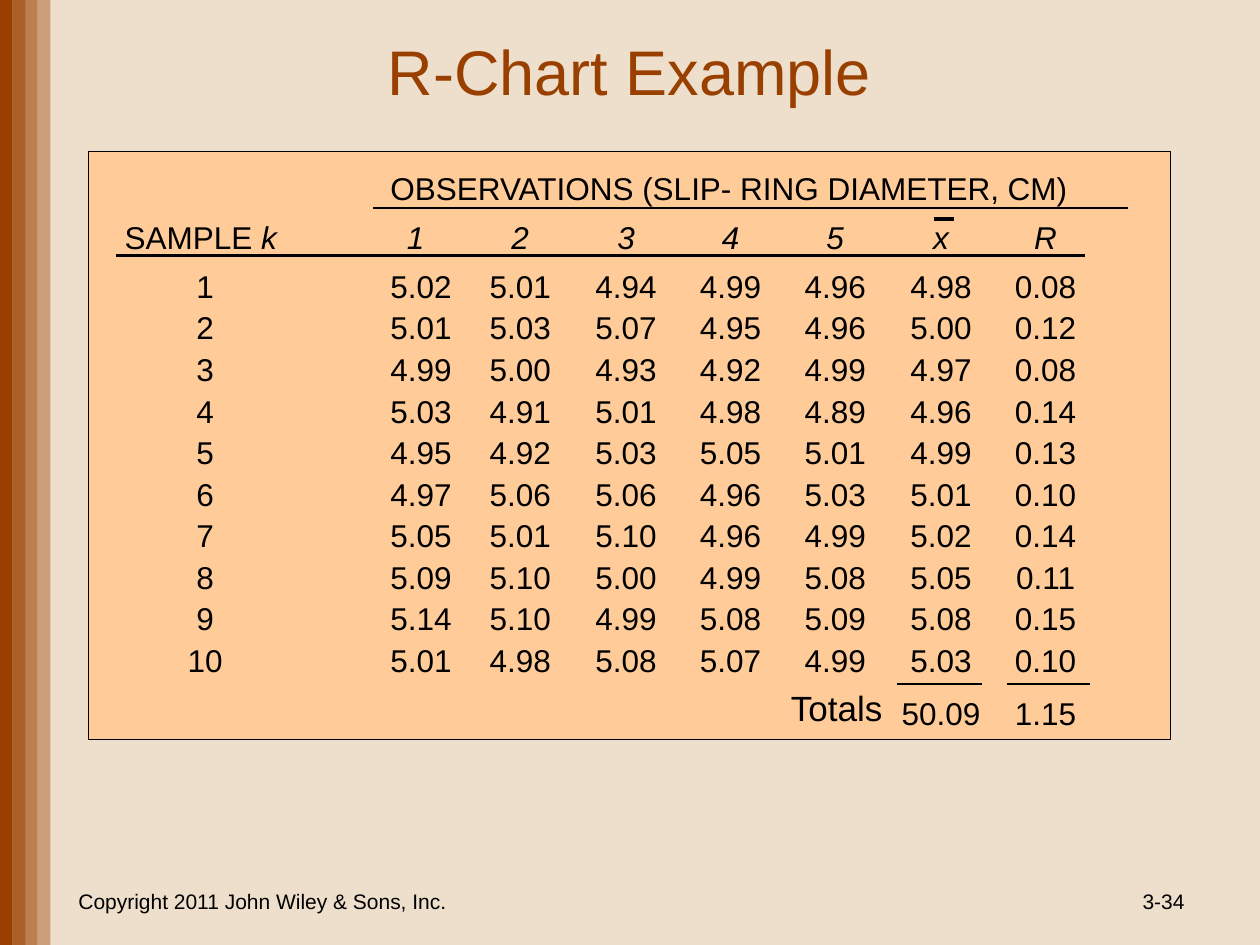
from lxml.etree import SubElement
from pptx import Presentation
from pptx.dml.color import RGBColor
from pptx.enum.shapes import MSO_CONNECTOR as Connector, MSO_SHAPE as Shape
from pptx.enum.text import MSO_ANCHOR as Anchor, MSO_AUTO_SIZE as AutoSize, PP_ALIGN as Align
from pptx.oxml.ns import qn
from pptx.util import Inches, Pt

COLORS = {"background": "EEDFCC", "accent": "994000", "panel": "FFCC99", "ink": "000000"}
FONT = "Arial"

# Tab stops of the observation sheet: sample, first value, then even columns
TABS = [(0.83, "ctr"), (2.3, "l")] + [(round(2.5 + i * 5 / 6, 2), "ctr") for i in range(7)]

SAMPLES = [
    "5.02 5.01 4.94 4.99 4.96 4.98 0.08",
    "5.01 5.03 5.07 4.95 4.96 5.00 0.12",
    "4.99 5.00 4.93 4.92 4.99 4.97 0.08",
    "5.03 4.91 5.01 4.98 4.89 4.96 0.14",
    "4.95 4.92 5.03 5.05 5.01 4.99 0.13",
    "4.97 5.06 5.06 4.96 5.03 5.01 0.10",
    "5.05 5.01 5.10 4.96 4.99 5.02 0.14",
    "5.09 5.10 5.00 4.99 5.08 5.05 0.11",
    "5.14 5.10 4.99 5.08 5.09 5.08 0.15",
    "5.01 4.98 5.08 5.07 4.99 5.03 0.10",
]


def color(name):
    return RGBColor.from_string(COLORS[name])


class SlideBuilder:
    def __init__(self, slide):
        self.slide = slide
        fill = slide.background.fill
        fill.solid()
        fill.fore_color.rgb = color("background")

    def box(self, at, fill, line=None, opacity=100):
        shape = self.slide.shapes.add_shape(Shape.RECTANGLE, *map(Inches, at))
        shape.shadow.inherit = False
        shape.fill.solid()
        shape.fill.fore_color.rgb = color(fill)
        if opacity < 100:
            tint = shape._element.spPr.find(qn("a:solidFill"))[0]
            SubElement(tint, qn("a:alpha"), val=str(opacity * 1000))
        if line:
            shape.line.color.rgb = color("ink")
            shape.line.width = Pt(line)
        else:
            shape.line.fill.background()
        return shape

    def add_words(self, paragraph, text, size, ink="ink", italic=False):
        run = paragraph.add_run()
        run.text = text
        style = {"name": FONT, "size": Pt(size), "italic": italic}
        for key, value in style.items():
            setattr(run.font, key, value)
        run.font.color.rgb = color(ink)

    def label(self, at, text, size, align, ink="ink", **frame_format):
        frame = self.slide.shapes.add_textbox(*map(Inches, at)).text_frame
        for key, value in {"word_wrap": True, **frame_format}.items():
            setattr(frame, key, value)
        paragraph = frame.paragraphs[0]
        paragraph.alignment = align
        self.add_words(paragraph, text, size, ink)

    def sheet(self, at, rows, size):
        """Fill a panel with tabbed rows of (line spacing, [(text, italic), ...])."""
        frame = self.box(at, "panel", line=0.75).text_frame
        frame.word_wrap = True
        frame.vertical_anchor = Anchor.TOP
        for number, (spacing, parts) in enumerate(rows):
            paragraph = frame.add_paragraph() if number else frame.paragraphs[0]
            stops = SubElement(paragraph._p.get_or_add_pPr(), qn("a:tabLst"))
            for position, kind in TABS:
                SubElement(stops, qn("a:tab"), pos=str(Inches(position)), algn=kind)
            paragraph.alignment = Align.LEFT
            paragraph.line_spacing = spacing
            for text, italic in parts:
                self.add_words(paragraph, text, size, italic=italic)

    def rule(self, left, right, y, width=1.5):
        ends = map(Inches, (left, y, right, y))
        line = self.slide.shapes.add_connector(Connector.STRAIGHT, *ends)
        line.line.color.rgb = color("ink")
        line.line.width = Pt(width)
        SubElement(line._element.spPr, qn("a:effectLst"))


def main():
    deck = Presentation()
    deck.slide_width, deck.slide_height = Inches(10), Inches(7.5)
    page = SlideBuilder(deck.slides.add_slide(deck.slide_layouts[6]))

    # Fading stripes on the left edge
    for i, opacity in enumerate((100, 80, 60, 40)):
        page.box((i * 0.1, 0, 0.1, 7.5), "accent", opacity=opacity)

    # Title and footer
    middle = {"vertical_anchor": Anchor.MIDDLE}
    page.label((1.14, 0.06, 7.71, 1), "R-Chart Example", 36, Align.CENTER, "accent", **middle)
    page.label((0.5, 6.95, 3.17, 0.4), "Copyright 2011 John Wiley & Sons, Inc.", 12,
               Align.CENTER, **middle)
    page.label((7.17, 6.95, 2.33, 0.4), "3-34", 12, Align.RIGHT, **middle)

    # Observation sheet: two heading rows, the samples, the totals
    rows = [
        (1.3, [("\t\tOBSERVATIONS (SLIP- RING DIAMETER, CM)", False)]),
        (1.3, [("\tSAMPLE ", False), ("k \t\t1\t2\t3\t4\t5\tx\tR", True)]),
    ]
    for k, values in enumerate(SAMPLES, 1):
        text = "\t" + "\t".join([str(k), *values.split()])
        rows.append((1.3 if k == 1 else 1.1, [(text, False)]))
    rows.append((1.4, [("\t" * 8 + "50.09\t1.15", False)]))
    page.sheet((0.7, 1.2, 8.59, 4.67), rows, 18)

    # Rules under the headings and above the totals
    for left, right, y in ((0.92, 8.61, 2.03), (2.96, 8.95, 1.65),
                           (7.12, 7.79, 5.43), (7.99, 8.65, 5.43)):
        page.rule(left, right, y)

    # Bar over the x of the mean
    page.rule(7.41, 7.57, 1.74, width=2.25)

    page.label((6.17, 5.4, 0.94, 0.44), "Totals", 20, Align.CENTER,
               word_wrap=False, auto_size=AutoSize.SHAPE_TO_FIT_TEXT)

    deck.save("out.pptx")


if __name__ == "__main__":
    main()
